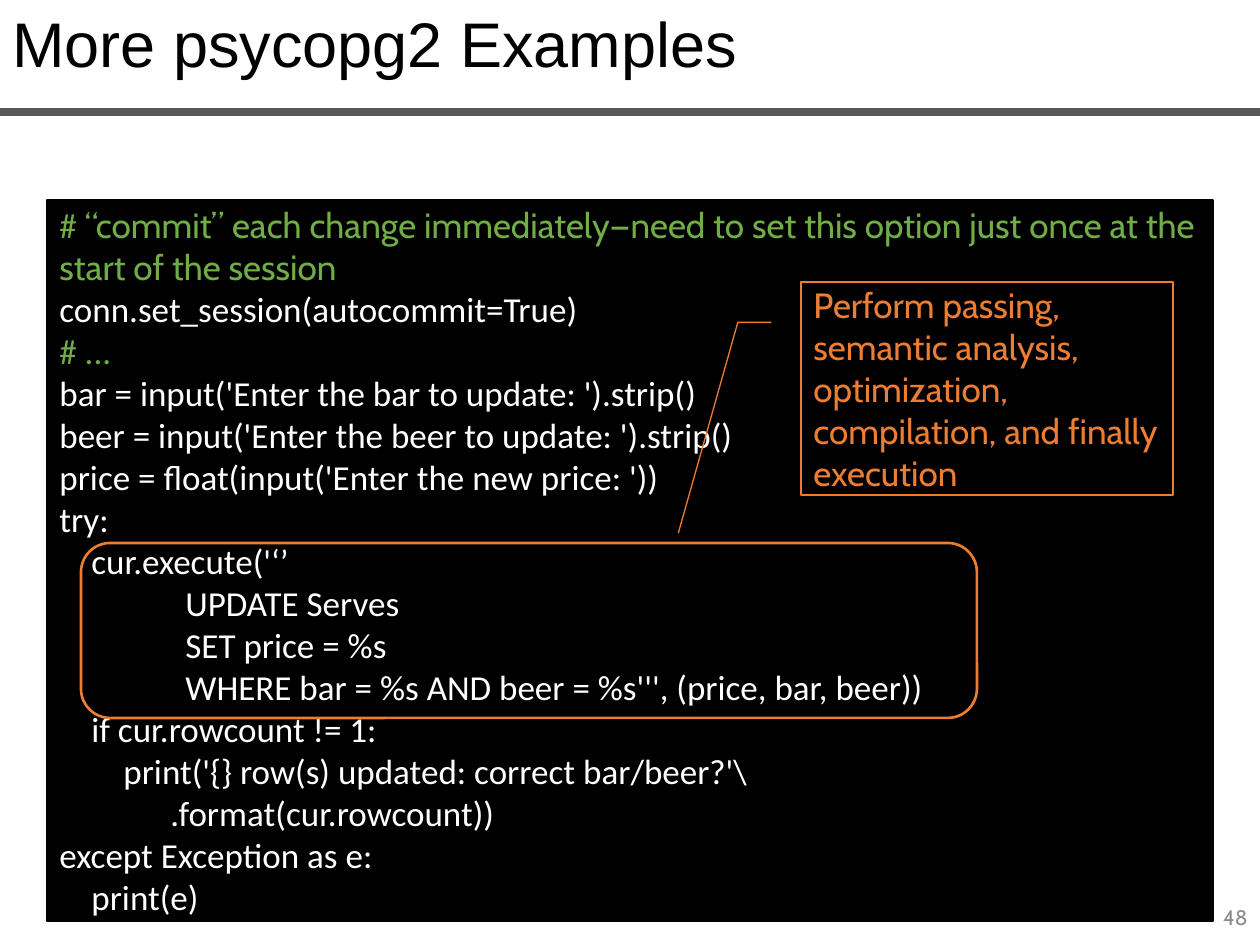
from lxml.etree import SubElement
from pptx import Presentation
from pptx.dml.color import RGBColor
from pptx.enum.shapes import MSO_CONNECTOR, MSO_SHAPE as Preset
from pptx.enum.text import MSO_ANCHOR as Anchor, PP_ALIGN as Align
from pptx.oxml.ns import qn
from pptx.util import Pt

EMU_PER_PX = 914400 / 126
BLACK, WHITE, GREEN, ORANGE = "000000", "FFFFFF", "70AD47", "ED7D31"
RULE_GRAY, NUMBER_GRAY = "595959", "8C8C8C"
STEP = 32  # one level of code indent
TAB = 126  # the SQL lines

COMMENT = [
    ("#", GREEN, "Calibri"),
    (" “commit” each change immediately—need to set this option just once "
     "at the start of the session", GREEN, "Cabin"),
]
CODE = [
    (0, COMMENT),
    (0, "conn.set_session(autocommit=True)"),
    (0, [("# ...", GREEN, "Calibri")]),
    (0, "bar = input('Enter the bar to update: ').strip()"),
    (0, "beer = input('Enter the beer to update: ').strip()"),
    (0, "price = float(input('Enter the new price: '))"),
    (0, "try:"),
    (STEP, "cur.execute('‘’"),
    (TAB, "UPDATE Serves"),
    (TAB, "SET price = %s"),
    (TAB, "WHERE bar = %s AND beer = %s''', (price, bar, beer))"),
    (STEP, "if cur.rowcount != 1:"),
    (2 * STEP, "print('{} row(s) updated: correct bar/beer?'\\"),
    (111, ".format(cur.rowcount))"),
    (0, "except Exception as e:"),
    (STEP, "print(e)"),
]


def px(length):
    return round(length * EMU_PER_PX)


def color(value):
    return RGBColor.from_string(value)


def write(paragraph, text, font="Calibri", size=20, fill=WHITE,
          align=Align.LEFT, spacing=1.0, indent=0):
    """Add one formatted run to the paragraph."""
    paragraph.alignment = align
    paragraph.line_spacing = spacing
    if indent:
        paragraph._p.get_or_add_pPr().set("marL", str(px(indent)))
    run = paragraph.add_run()
    run.text = text
    run.font.name = font
    run.font.size = Pt(size)
    run.font.color.rgb = color(fill)


class SlideBuilder:
    def __init__(self, presentation):
        self.slide = presentation.slides.add_slide(presentation.slide_layouts[6])

    def prepare_frame(self, shape):
        frame = shape.text_frame
        frame.word_wrap = True
        frame.vertical_anchor = Anchor.MIDDLE
        return frame

    def text(self, box, text, **style):
        shape = self.slide.shapes.add_textbox(*map(px, box))
        write(self.prepare_frame(shape).paragraphs[0], text, **style)

    def shape(self, preset, box, line, width, fill=None, adjustments=()):
        shape = self.slide.shapes.add_shape(preset, *map(px, box))
        shape.shadow.inherit = False
        if fill:
            shape.fill.solid()
            shape.fill.fore_color.rgb = color(fill)
        else:
            shape.fill.background()
        shape.line.color.rgb = color(line)
        shape.line.width = Pt(width)
        for index, value in enumerate(adjustments):
            shape.adjustments[index] = value
        return shape

    def code(self, box, lines):
        """Draw a black panel with one paragraph per code line."""
        frame = self.prepare_frame(self.shape(Preset.RECTANGLE, box, BLACK, 1, BLACK))
        for index, (indent, content) in enumerate(lines):
            paragraph = frame.add_paragraph() if index else frame.paragraphs[0]
            runs = [(content, WHITE, "Calibri")] if isinstance(content, str) else content
            for text, fill, font in runs:
                write(paragraph, text, fill=fill, font=font, indent=indent)

    def callout(self, box, text, adjustments):
        shape = self.shape(Preset.LINE_CALLOUT_2, box, ORANGE, 0.75,
                           adjustments=adjustments)
        write(self.prepare_frame(shape).paragraphs[0], text, font="Cabin", fill=ORANGE)

    def rule(self, y, right, width):
        line = self.slide.shapes.add_connector(
            MSO_CONNECTOR.STRAIGHT, 0, px(y), px(right), px(y))
        line.line.color.rgb = color(RULE_GRAY)
        line.line.width = Pt(width)
        SubElement(line._element.spPr, qn("a:effectLst"))


def main():
    presentation = Presentation()
    presentation.slide_width = px(1260)
    presentation.slide_height = px(945)
    builder = SlideBuilder(presentation)
    builder.text((976, 892, 284, 50), "48", font="Cabin", size=12,
                 fill=NUMBER_GRAY, align=Align.RIGHT)
    builder.code((47, 200, 1166, 721), CODE)
    builder.shape(Preset.ROUNDED_RECTANGLE, (81, 543, 896, 175), ORANGE, 1.5)
    builder.callout(
        (801, 282, 372, 213),
        "Perform passing, semantic analysis, optimization, compilation, "
        "and finally execution",
        (0.19, -0.08, 0.19, -0.17, 1.18, -0.33))
    builder.text((0, 2, 1213, 90), "More psycopg2 Examples", font="Arial",
                 size=36, fill=BLACK, spacing=0.9)
    builder.rule(112, 1260, 4.5)
    presentation.save("out.pptx")


if __name__ == "__main__":
    main()
